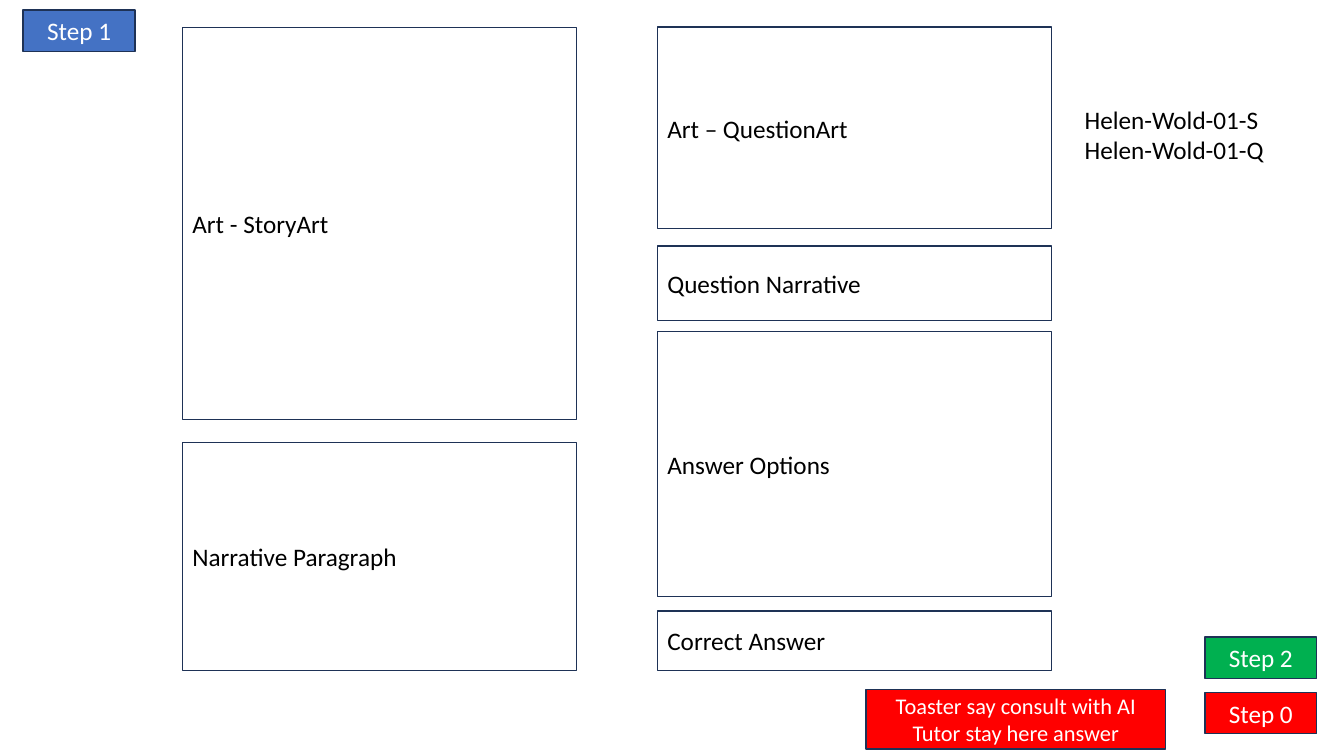
import pptx
import pptx.dml.color
import pptx.enum.shapes
import pptx.enum.text
import pptx.util

Inches = pptx.util.Inches
RGBColor = pptx.dml.color.RGBColor
Align = pptx.enum.text.PP_ALIGN

NAVY = RGBColor(0x1E, 0x32, 0x56)
BLUE = RGBColor(0x44, 0x72, 0xC4)
GREEN = RGBColor(0x00, 0xB0, 0x50)
RED = RGBColor(0xFF, 0x00, 0x00)
BLACK = RGBColor(0x00, 0x00, 0x00)
WHITE = RGBColor(0xFF, 0xFF, 0xFF)

STORY_LEFT, QUESTION_LEFT, PANEL_WIDTH = 1.81, 6.52, 3.91
STEP_WIDTH, STEP_HEIGHT = 1.11, 0.41

PANELS = [
    ("Art - StoryArt", STORY_LEFT, 0.27, 3.89),
    ("Narrative Paragraph", STORY_LEFT, 4.39, 2.26),
    ("Art – QuestionArt", QUESTION_LEFT, 0.27, 2),
    ("Question Narrative", QUESTION_LEFT, 2.44, 0.74),
    ("Answer Options", QUESTION_LEFT, 3.29, 2.63),
    ("Correct Answer", QUESTION_LEFT, 6.06, 0.59),
]
STEPS = [
    ("Step 1", 0.23, 0.1, BLUE),
    ("Step 2", 11.95, 6.32, GREEN),
    ("Step 0", 11.95, 6.87, RED),
]


def apply_format(target, values):
    for name, value in values.items():
        setattr(target, name, value)


def write_text(box, lines, color, alignment, size=18):
    frame = box.text_frame
    apply_format(frame, {
        "word_wrap": True,
        "vertical_anchor": pptx.enum.text.MSO_ANCHOR.MIDDLE,
    })
    for index, line in enumerate(lines):
        para = frame.add_paragraph() if index else frame.paragraphs[0]
        para.alignment = alignment
        span = para.add_run()
        span.text = line
        apply_format(span.font, {"name": "Calibri", "size": pptx.util.Pt(size)})
        span.font.color.rgb = color


def add_box(page, text, left, top, width, height, fill=None, size=18):
    box = page.shapes.add_shape(
        pptx.enum.shapes.MSO_SHAPE.RECTANGLE,
        Inches(left), Inches(top), Inches(width), Inches(height))
    box.shadow.inherit = False
    box.line.color.rgb = NAVY
    box.line.width = pptx.util.Pt(1)
    if fill is None:
        box.fill.background()
        write_text(box, [text], BLACK, Align.LEFT, size)
    else:
        box.fill.solid()
        box.fill.fore_color.rgb = fill
        write_text(box, [text], WHITE, Align.CENTER, size)
    return box


def add_tutor_note(page, text):
    box = add_box(page, text, 8.59, 6.84, 2.97, 0.59, RED, 16)
    apply_format(box.text_frame, {"margin_top": 0, "margin_bottom": 0})


def add_file_names(page, names):
    box = page.shapes.add_textbox(
        Inches(10.66), Inches(1.27), Inches(2.1), Inches(0.42))
    write_text(box, names, BLACK, Align.LEFT)
    box.text_frame.margin_bottom = Inches(0.34)


def main():
    deck = pptx.Presentation()
    apply_format(deck, {"slide_width": Inches(13.33), "slide_height": Inches(7.5)})
    page = deck.slides.add_slide(deck.slide_layouts[6])
    for text, left, top, height in PANELS:
        add_box(page, text, left, top, PANEL_WIDTH, height)
    for text, left, top, fill in STEPS:
        add_box(page, text, left, top, STEP_WIDTH, STEP_HEIGHT, fill)
    add_tutor_note(page, "Toaster say consult with AI Tutor stay here answer")
    add_file_names(page, ["Helen-Wold-01-S", "Helen-Wold-01-Q"])
    deck.save("out.pptx")


if __name__ == "__main__":
    main()
